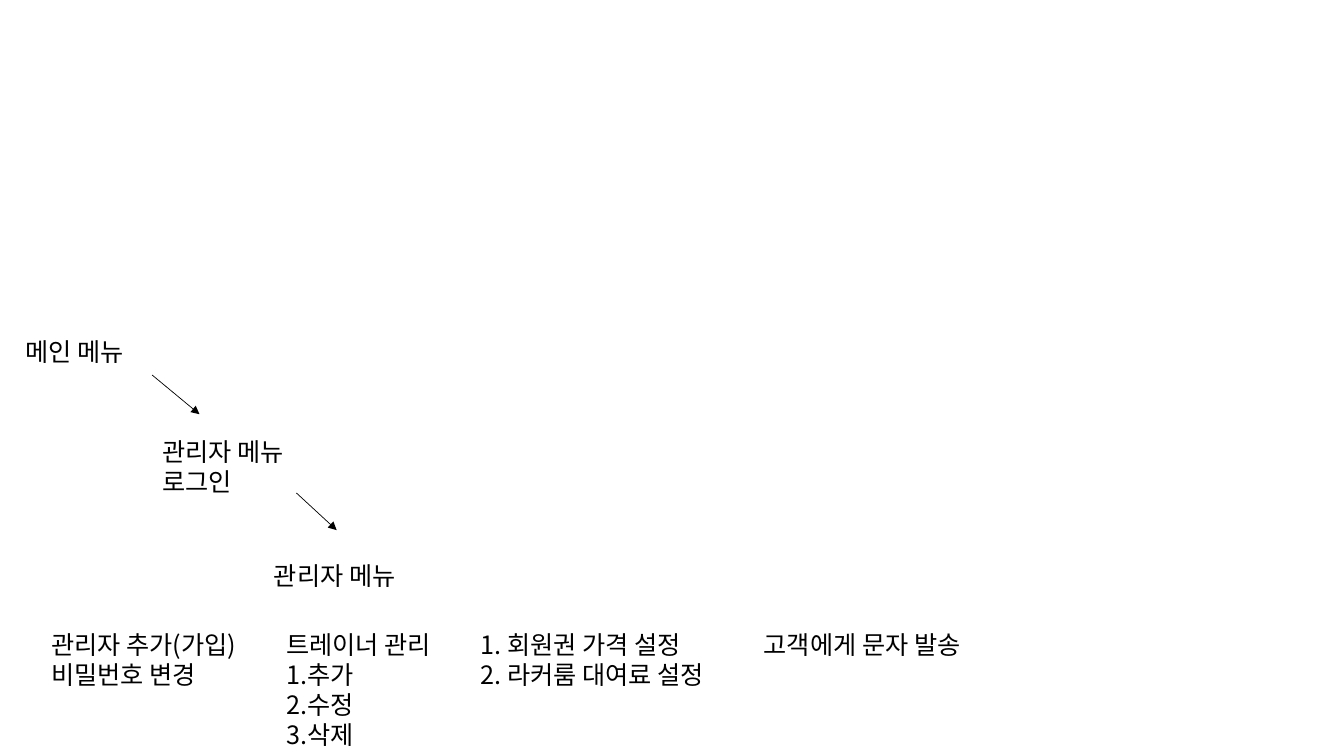
from lxml import etree
from pptx import Presentation
from pptx import util as u
from pptx.dml.color import RGBColor
from pptx.enum import shapes, text
from pptx.oxml.ns import qn

FONT = "Noto Sans CJK KR"
INK = "000000"


def color(value):
    return RGBColor.from_string(value)


def add_label(page, left, top, width, lines, wrap=False):
    height = 7.2 + 21.75 * len(lines)
    box = page.shapes.add_textbox(u.Pt(left), u.Pt(top), u.Pt(width), u.Pt(height))
    frame = box.text_frame
    frame.word_wrap = wrap
    frame.auto_size = text.MSO_AUTO_SIZE.SHAPE_TO_FIT_TEXT
    frame.text = "\n".join(lines)
    for para in frame.paragraphs:
        para.font.size = u.Pt(18)
        para.font.name = FONT
        para.font.color.rgb = color(INK)
        east_asian = etree.SubElement(para.font._element, qn("a:ea"))
        east_asian.set("typeface", FONT)


def add_arrow(page, left, top, width, height):
    arrow = page.shapes.add_connector(
        shapes.MSO_CONNECTOR.STRAIGHT,
        u.Pt(left), u.Pt(top), u.Pt(left + width), u.Pt(top + height))
    arrow.line.color.rgb = color(INK)
    arrow.line.width = u.Pt(0.5)
    etree.SubElement(arrow.line._get_or_add_ln(), qn("a:tailEnd")).set("type", "triangle")
    etree.SubElement(arrow._element.spPr, qn("a:effectLst"))


def add_menu_path(page, left, top):
    add_label(page, left, top, 93.6, ["메인 메뉴"])
    add_arrow(page, left + 97.9, top + 31, 33.8, 28)
    add_label(page, left + 97.9, top + 71.3, 111.6, ["관리자 메뉴", "로그인"], wrap=True)
    add_arrow(page, left + 200.9, top + 115.2, 28.8, 26.6)
    add_label(page, left + 177.8, top + 159.8, 111.6, ["관리자 메뉴"])


def add_admin_options(page, left, top):
    options = [
        (0, 159.1, ["관리자 추가(가입)", "비밀번호 변경"], False),
        (167.8, 130.3, ["트레이너 관리", "1.추가", "2.수정", "3.삭제"], False),
        (306.7, 193, ["1. 회원권 가격 설정", "2. 라커룸 대여료 설정"], True),
        (509, 172.8, ["고객에게 문자 발송"], False),
    ]
    for offset, width, lines, wrap in options:
        add_label(page, left + offset, top, width, lines, wrap)


def main():
    deck = Presentation()
    deck.slide_width, deck.slide_height = u.Pt(960), u.Pt(540)
    page = deck.slides.add_slide(deck.slide_layouts[6])
    add_menu_path(page, 10.8, 236.9)
    add_admin_options(page, 29.5, 445.7)
    deck.save("out.pptx")


if __name__ == "__main__":
    main()
